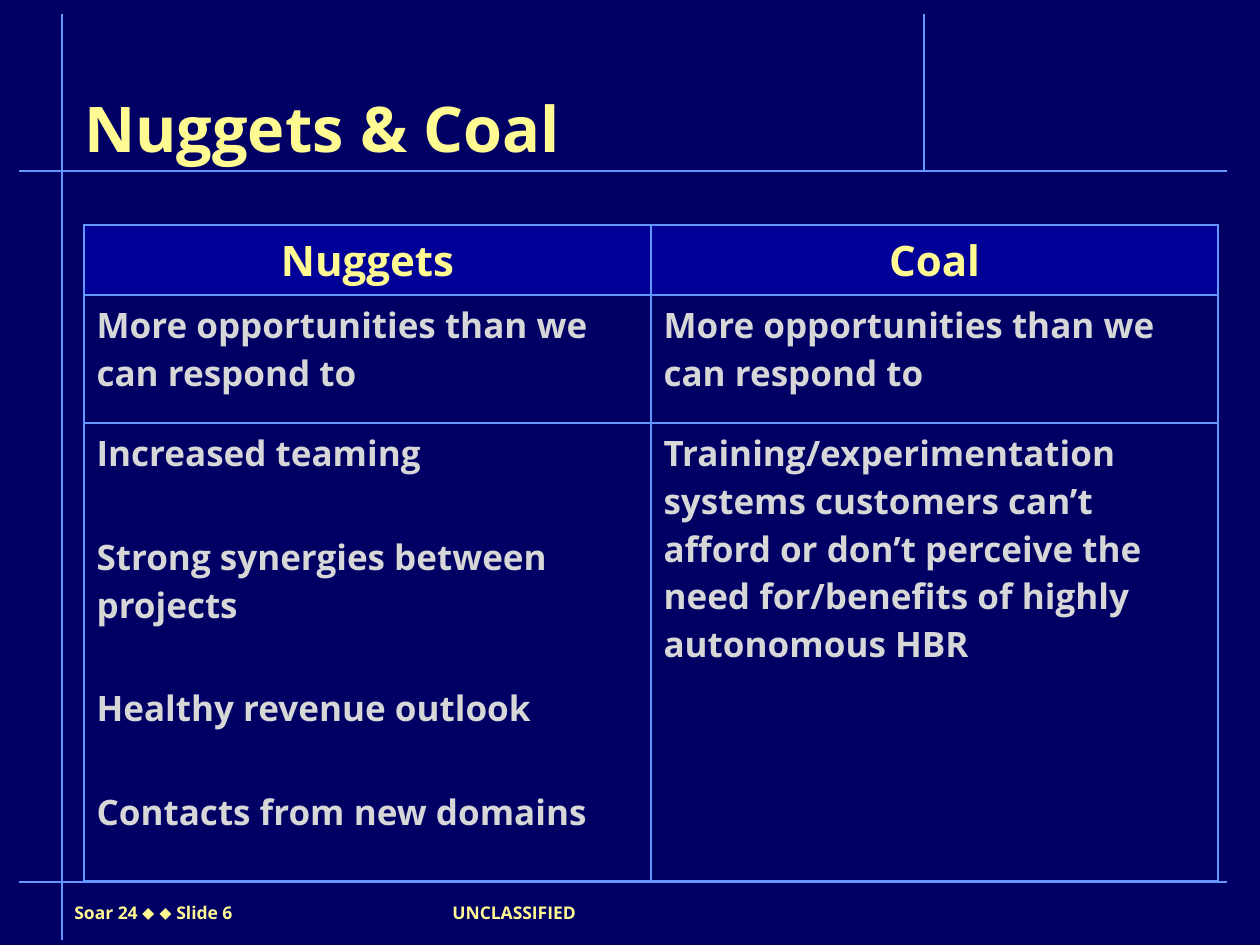
from dataclasses import dataclass

from lxml import etree
from pptx import Presentation
from pptx import util as u
from pptx.dml.color import RGBColor
from pptx.enum import shapes, text
from pptx.oxml.ns import qn

PX = 914400 / 126
FONT = "Open Sans"
NAVY, HEADER_BLUE, RULE_BLUE = "000064", "000099", "6496FF"
TITLE_YELLOW, FOOTER_YELLOW, BODY_GREY = "FFFA91", "FEF992", "D7D7D7"


@dataclass
class Rule:
    x1: int
    y1: int
    x2: int
    y2: int


@dataclass
class TextStyle:
    size: int
    color: str
    align: text.PP_ALIGN = text.PP_ALIGN.LEFT
    gap: int = 0


RULES = [
    Rule(62, 14, 62, 940),
    Rule(19, 171, 1227, 171),
    Rule(19, 882, 1227, 882),
    Rule(924, 14, 924, 171),
]
TITLE = TextStyle(36, TITLE_YELLOW)
FOOTER = TextStyle(10, FOOTER_YELLOW)
HEADING = TextStyle(24, TITLE_YELLOW, text.PP_ALIGN.CENTER)
BODY = TextStyle(20, BODY_GREY, gap=32)

ROW_HEIGHTS = [70, 128, 458]
COLUMN_WIDTH = 567
ROWS = [
    [["Nuggets"], ["Coal"]],
    [["More opportunities than we can respond to"]] * 2,
    [
        [
            "Increased teaming",
            "Strong synergies between projects",
            "Healthy revenue outlook",
            "Contacts from new domains",
        ],
        [
            "Training/experimentation systems customers can’t afford or "
            "don’t perceive the need for/benefits of highly autonomous HBR"
        ],
    ],
]


def px(length: int) -> u.Emu:
    return u.Emu(round(length * PX))


def rgb(color: str) -> RGBColor:
    return RGBColor.from_string(color)


def style_span(span, style: TextStyle, font: str = FONT) -> None:
    span.font.name = font
    span.font.size = u.Pt(style.size)
    span.font.bold = True
    span.font.color.rgb = rgb(style.color)


def write_paragraphs(frame, lines: list[str], style: TextStyle) -> None:
    frame.text = "\n".join(lines)
    for index, para in enumerate(frame.paragraphs):
        para.alignment = style.align
        if index and style.gap:
            para.space_before = u.Pt(style.gap)
        for span in para.runs:
            style_span(span, style)


def add_text_frame(page, left: int, top: int, width: int, height: int):
    box = page.shapes.add_textbox(px(left), px(top), px(width), px(height))
    box.text_frame.word_wrap = True
    return box.text_frame


def draw_rule(page, rule: Rule) -> None:
    line = page.shapes.add_connector(
        shapes.MSO_CONNECTOR.STRAIGHT,
        px(rule.x1), px(rule.y1), px(rule.x2), px(rule.y2),
    )
    line.line.color.rgb = rgb(RULE_BLUE)
    line.line.width = u.Pt(1.5)
    etree.SubElement(line._element.spPr, qn("a:effectLst"))


def set_borders(cell, outer_sides: set[str]) -> None:
    properties = cell._tc.get_or_add_tcPr()
    for index, side in enumerate("LRTB"):
        width = u.Pt(1.08 if side in outer_sides else 0.75)
        border = etree.Element(qn(f"a:ln{side}"), w=str(int(width)))
        fill = etree.SubElement(border, qn("a:solidFill"))
        etree.SubElement(fill, qn("a:srgbClr"), val=RULE_BLUE)
        properties.insert(index, border)


def draw_table(page) -> None:
    table = page.shapes.add_table(
        len(ROWS), 2, px(84), px(225), px(2 * COLUMN_WIDTH), px(sum(ROW_HEIGHTS))
    ).table
    for column in table.columns:
        column.width = px(COLUMN_WIDTH)
    for row_index, (height, row) in enumerate(zip(ROW_HEIGHTS, ROWS)):
        table.rows[row_index].height = px(height)
        for column_index, lines in enumerate(row):
            cell = table.cell(row_index, column_index)
            outer_sides = {"R" if column_index else "L"}
            if row_index == 0:
                outer_sides.add("T")
                cell.fill.solid()
                cell.fill.fore_color.rgb = rgb(HEADER_BLUE)
            else:
                cell.fill.background()
            if row_index == len(ROWS) - 1:
                outer_sides.add("B")
            set_borders(cell, outer_sides)
            write_paragraphs(cell.text_frame, lines, BODY if row_index else HEADING)


def draw_footer(page) -> None:
    para = add_text_frame(page, 62, 896, 976, 36).paragraphs[0]
    tabs = etree.SubElement(para._p.get_or_add_pPr(), qn("a:tabLst"))
    etree.SubElement(tabs, qn("a:tab"), pos=str(u.Inches(3)), algn="l")
    pieces = [("Soar 24 ", FONT), ("⬥ ⬥", "Arial"), (" Slide 6\tUNCLASSIFIED", FONT)]
    for words, font in pieces:
        span = para.add_run()
        span.text = words
        style_span(span, FOOTER, font)


def main() -> None:
    deck = Presentation()
    deck.slide_width, deck.slide_height = px(1260), px(945)
    page = deck.slides.add_slide(deck.slide_layouts[6])
    page.background.fill.solid()
    page.background.fill.fore_color.rgb = rgb(NAVY)
    draw_footer(page)
    for rule in RULES:
        draw_rule(page, rule)
    title = add_text_frame(page, 72, 14, 850, 157)
    title.vertical_anchor = text.MSO_ANCHOR.BOTTOM
    write_paragraphs(title, ["Nuggets & Coal"], TITLE)
    draw_table(page)
    deck.save("out.pptx")


if __name__ == "__main__":
    main()
